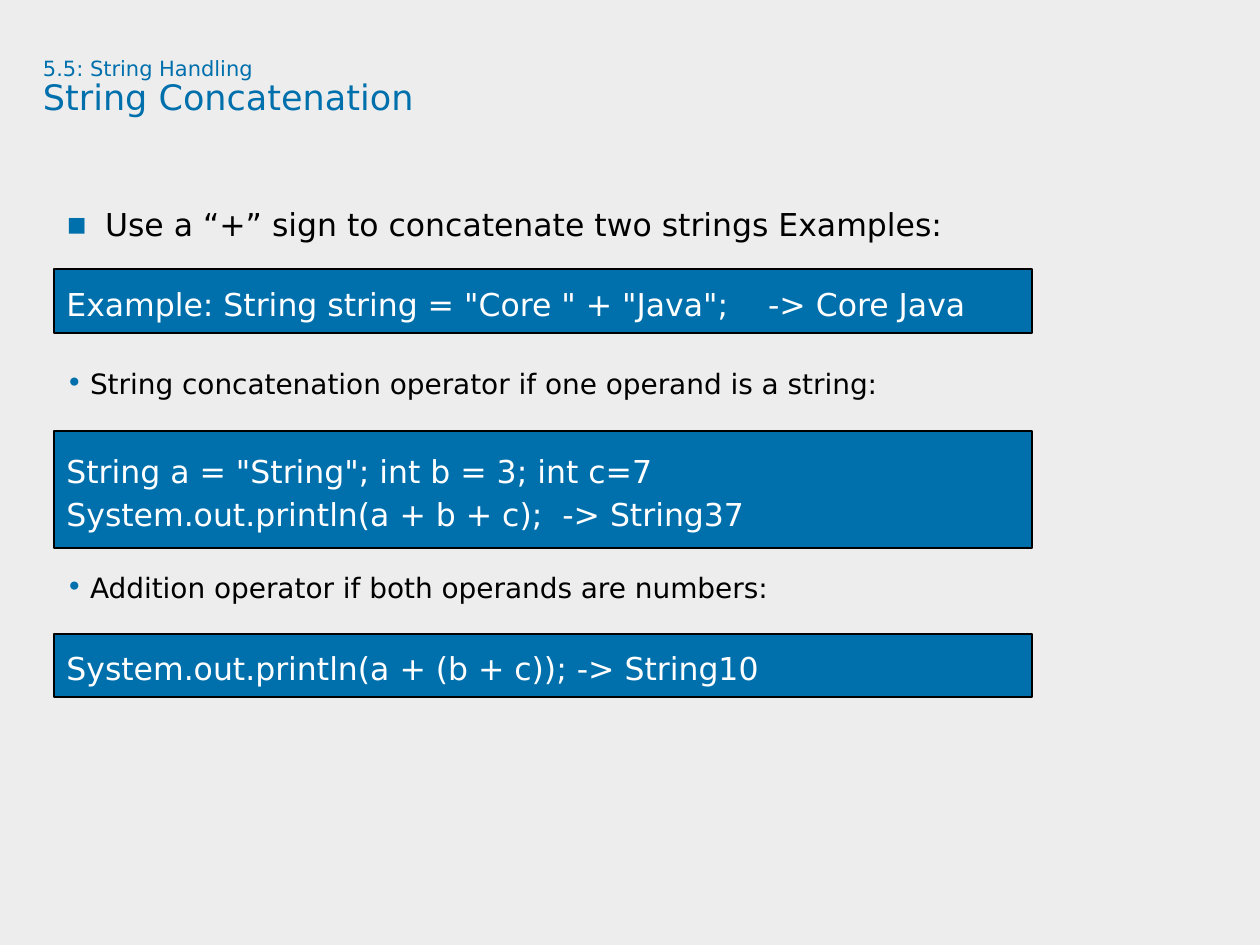
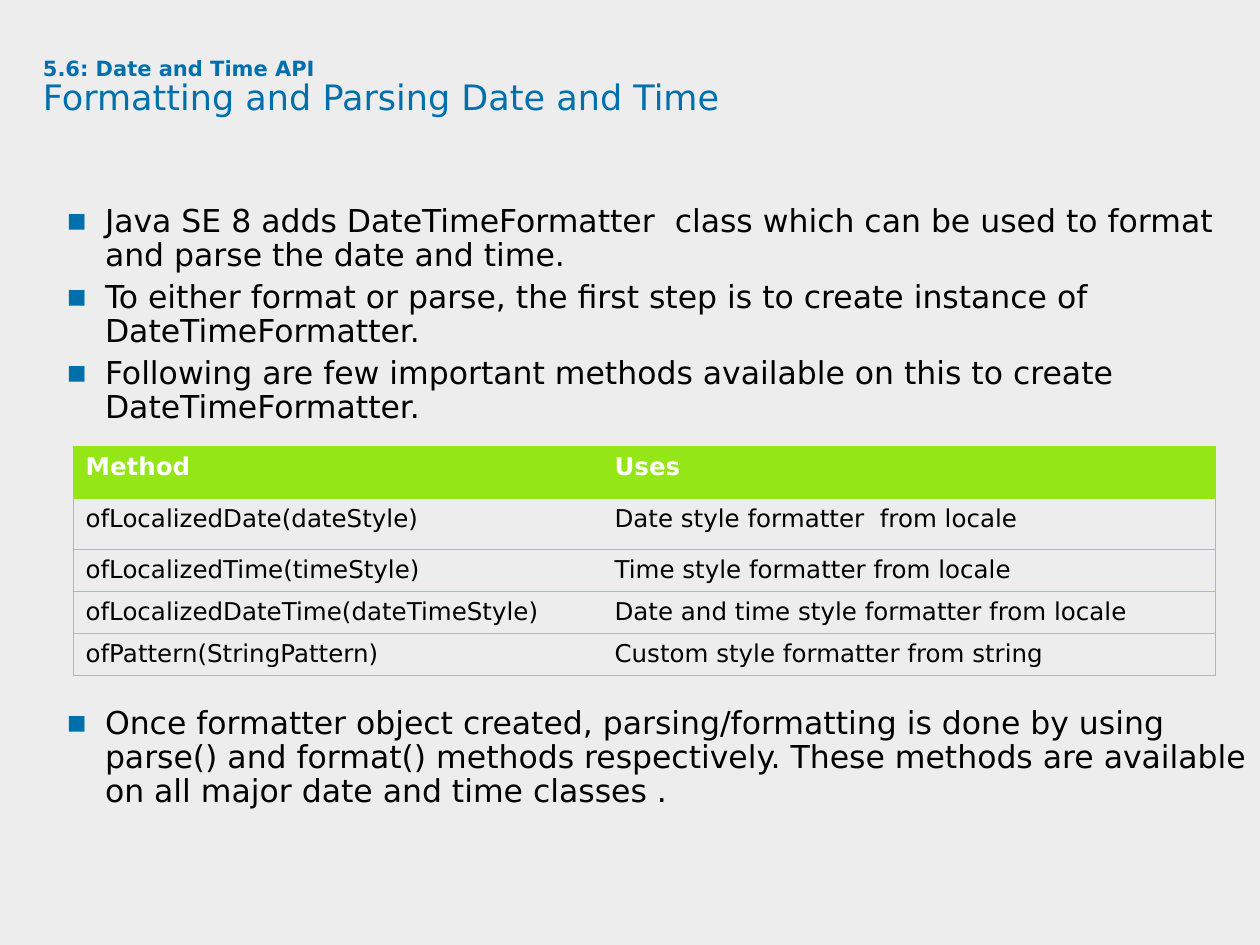
from lxml.etree import SubElement
from pptx import Presentation
from pptx.dml.color import RGBColor
from pptx.enum.shapes import MSO_SHAPE as SHAPE
from pptx.enum.text import MSO_ANCHOR as ANCHOR, PP_ALIGN as ALIGN
from pptx.oxml.ns import qn
from pptx.util import Emu, Pt

BLUE = RGBColor(0x00, 0x70, 0xAD)
GREEN = RGBColor(0x95, 0xE6, 0x16)
GREY = RGBColor(0xB5, 0xB5, 0xB5)
PAPER = RGBColor(0xED, 0xED, 0xED)
WHITE = RGBColor(0xFF, 0xFF, 0xFF)
BLACK = RGBColor(0x00, 0x00, 0x00)
FONT = "DejaVu Sans"

SQUARE = ("▪", 18, 63, 39)
DOT = ("•", 16, 48, 24)


def px(n):
    return Emu(round(n * 914400 / 126))


def add_run(p, text, size, color, bold=False):
    r = p.add_run()
    r.text = text
    r.font.name = FONT
    r.font.size = Pt(size)
    r.font.bold = bold
    r.font.color.rgb = color


pages = [
    ("5.5: String Handling", False, "String Concatenation", 1.0, [
        (SQUARE, 0, "Use a “+” sign to concatenate two strings Examples:"),
        (DOT, 116, "String concatenation operator if one operand is a string:"),
        (DOT, 162, "Addition operator if both operands are numbers:"),
    ]),
    ("5.6: Date and Time API", True, "Formatting and Parsing Date and Time", 0.9, [
        (SQUARE, 0, "Java SE 8 adds DateTimeFormatter  class which can be used to "
                    "format and parse the date and time."),
        (SQUARE, 0, "To either format or parse, the first step is to create "
                    "instance of DateTimeFormatter."),
        (SQUARE, 0, "Following are few important methods available on this to "
                    "create DateTimeFormatter."),
        (SQUARE, 274, "Once formatter object created, parsing/formatting is done by "
                      "using parse() and format() methods respectively. These methods "
                      "are available on all major date and time classes ."),
    ]),
]

code_boxes = [
    (269, 64, ['Example: String string = "Core " + "Java";    -> Core Java']),
    (431, 117, ['String a = "String"; int b = 3; int c=7',
                "System.out.println(a + b + c);  -> String37"]),
    (634, 63, ["System.out.println(a + (b + c)); -> String10"]),
]

methods = [
    ("Method", "Uses"),
    ("ofLocalizedDate(dateStyle)", "Date style formatter  from locale"),
    ("ofLocalizedTime(timeStyle)", "Time style formatter from locale"),
    ("ofLocalizedDateTime(dateTimeStyle)", "Date and time style formatter from locale"),
    ("ofPattern(StringPattern)", "Custom style formatter from string"),
]
row_heights = [52, 51, 42, 41, 42]
col_widths = [529, 613]
row_lines = [GREEN, GREEN, GREEN, GREY, GREY]

prs = Presentation()
prs.slide_width, prs.slide_height = px(1260), px(945)
fill = prs.slide_master.background.fill
fill.solid()
fill.fore_color.rgb = PAPER

for section, bold, heading, spacing, bullets in pages:
    s = prs.slides.add_slide(prs.slide_layouts[6])
    title = s.shapes.add_textbox(px(43), px(58), px(1145), px(118))
    body = s.shapes.add_textbox(px(42), px(205), px(1218), px(640))
    for sp in (title, body):
        tf = sp.text_frame
        tf.word_wrap = True
        tf.margin_left = tf.margin_right = tf.margin_top = tf.margin_bottom = 0

    p = title.text_frame.paragraphs[0]
    p.line_spacing = 0.9
    add_run(p, section, 12, BLUE, bold)
    p.add_line_break()
    add_run(p, heading, 20, BLUE)

    tf = body.text_frame
    for i, ((mark, size, left, hang), gap, text) in enumerate(bullets):
        p = tf.add_paragraph() if i else tf.paragraphs[0]
        p.line_spacing = spacing
        p.space_before = px(gap)
        p.space_after = Pt(4.5)
        pPr = p._p.get_or_add_pPr()
        pPr.set("marL", str(px(left)))
        pPr.set("indent", str(-px(hang)))
        clr = SubElement(pPr, qn("a:buClr"))
        SubElement(clr, qn("a:srgbClr"), val=str(BLUE))
        SubElement(pPr, qn("a:buFont"), typeface=FONT)
        SubElement(pPr, qn("a:buChar"), char=mark)
        add_run(p, text, size, BLACK)

concat_slide, format_slide = prs.slides

for top, height, lines in code_boxes:
    sp = concat_slide.shapes.add_shape(SHAPE.ROUNDED_RECTANGLE, px(54), px(top), px(978), px(height))
    sp.adjustments[0] = 0
    sp.shadow.inherit = False
    sp.fill.solid()
    sp.fill.fore_color.rgb = BLUE
    sp.line.color.rgb = BLACK
    sp.line.width = Pt(0.75)
    tf = sp.text_frame
    tf.word_wrap = True
    tf.vertical_anchor = ANCHOR.MIDDLE
    for i, text in enumerate(lines):
        p = tf.add_paragraph() if i else tf.paragraphs[0]
        p.alignment = ALIGN.LEFT
        p.line_spacing = 1.15
        add_run(p, text, 18, WHITE)

table = format_slide.shapes.add_table(
    len(methods), len(col_widths), px(73), px(446),
    px(sum(col_widths)), px(sum(row_heights))).table
table.horz_banding = False
table._tbl.tblPr.find(qn("a:tableStyleId")).text = "{2D5ABB26-0587-4C30-8999-92F81FD0307C}"
for col, width in zip(table.columns, col_widths):
    col.width = px(width)
for i, texts in enumerate(methods):
    table.rows[i].height = px(row_heights[i])
    header = i == 0
    for j, text in enumerate(texts):
        cell = table.cell(i, j)
        add_run(cell.text_frame.paragraphs[0], text, 14, WHITE if header else BLACK, header)
        side = "a:lnR" if j else "a:lnL"
        for tag, color in ((side, GREEN if header else GREY), ("a:lnB", row_lines[i])):
            ln = SubElement(cell._tc.get_or_add_tcPr(), qn(tag), w=str(Pt(0.5)))
            SubElement(SubElement(ln, qn("a:solidFill")), qn("a:srgbClr"), val=str(color))
        if header:
            cell.fill.solid()
            cell.fill.fore_color.rgb = GREEN
        else:
            cell.fill.background()

prs.save("out.pptx")
